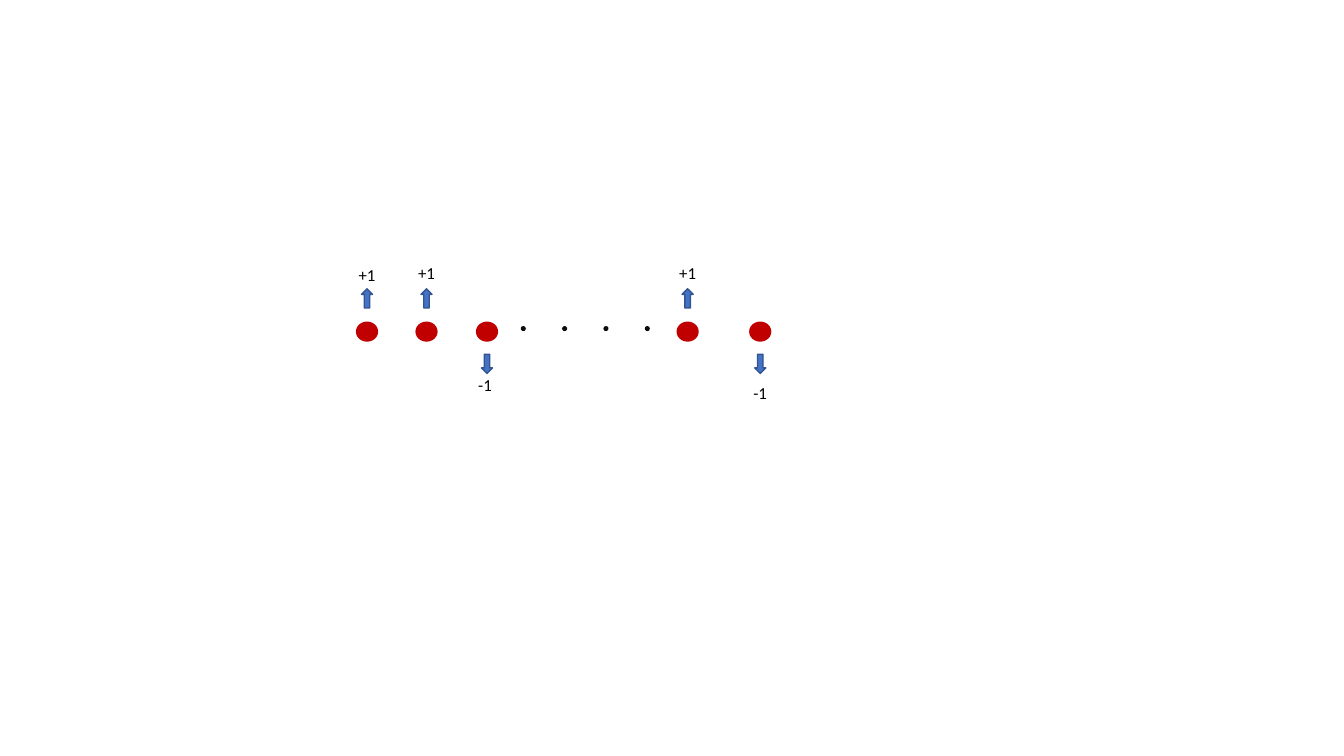
from pptx import Presentation
from pptx.dml.color import RGBColor
from pptx.enum.shapes import MSO_SHAPE as Preset
from pptx.enum.text import MSO_AUTO_SIZE as AutoSize, PP_ALIGN as Align
from pptx.util import Inches, Pt

# Each spin: centre x, value, top of its label
SPINS = [
    (3.64, "+1", 2.58),
    (4.23, "+1", 2.56),
    (4.83, "-1", 3.67),
    (6.82, "+1", 2.56),
    (7.54, "-1", 3.75),
]
SITE_Y = 3.29
ARROW_OFFSET = 0.33
DOT_COUNT, DOT_START, DOT_STEP, DOT_Y = 4, 5.19, 0.41, 3.26


def color(hex_value):
    """Turn a hex string into a colour."""
    return RGBColor.from_string(hex_value)


def add_centred_shape(slide, preset, x, y, width, height, fill, line=None):
    """Add a filled preset shape centred on x, y."""
    shape = slide.shapes.add_shape(
        preset, Inches(x - width / 2), Inches(y - height / 2),
        Inches(width), Inches(height))
    shape.shadow.inherit = False
    shape.fill.solid()
    shape.fill.fore_color.rgb = color(fill)
    if line:
        shape.line.color.rgb = color(line)
        shape.line.width = Pt(1)
    else:
        shape.line.fill.background()
    return shape


def add_arrow(slide, x, up):
    """Add a block arrow above (up) or below (down) a site."""
    y = SITE_Y - ARROW_OFFSET if up else SITE_Y + ARROW_OFFSET - 0.01
    arrow = add_centred_shape(slide, Preset.RIGHT_ARROW, x, y, 0.19, 0.11,
                              "4472C4", line="325491")
    arrow.rotation = 270 if up else 90


def add_text(slide, text, x, top, width, height=0.3, size=12,
             font="Calibri", fill="000000"):
    """Add a one-line label centred on x."""
    box = slide.shapes.add_textbox(Inches(x - width / 2), Inches(top),
                                   Inches(width), Inches(height))
    frame = box.text_frame
    frame.word_wrap = False
    frame.auto_size = AutoSize.SHAPE_TO_FIT_TEXT
    paragraph = frame.paragraphs[0]
    paragraph.alignment = Align.CENTER
    run = paragraph.add_run()
    run.text = text
    run.font.size = Pt(size)
    run.font.name = font
    run.font.color.rgb = color(fill)


def add_spin(slide, x, value, label_top):
    """Add a site with its arrow and value."""
    up = value == "+1"
    add_centred_shape(slide, Preset.OVAL, x, SITE_Y, 0.22, 0.2, "C00000")
    add_arrow(slide, x, up)
    # The "-1" under the third site sits slightly left of its arrow
    label_x = x - 0.02 if label_top == 3.67 else x
    add_text(slide, value, label_x, label_top, width=0.37 if up else 0.34)


def main():
    """Build the spin chain slide."""
    presentation = Presentation()
    presentation.slide_width = Inches(13.33)
    presentation.slide_height = Inches(7.5)
    slide = presentation.slides.add_slide(presentation.slide_layouts[6])
    for x, value, label_top in SPINS:
        add_spin(slide, x, value, label_top)
    for index in range(DOT_COUNT):
        add_centred_shape(slide, Preset.OVAL, DOT_START + index * DOT_STEP,
                          DOT_Y, 0.05, 0.05, "0D0D0D")
    presentation.save("out.pptx")


main()
